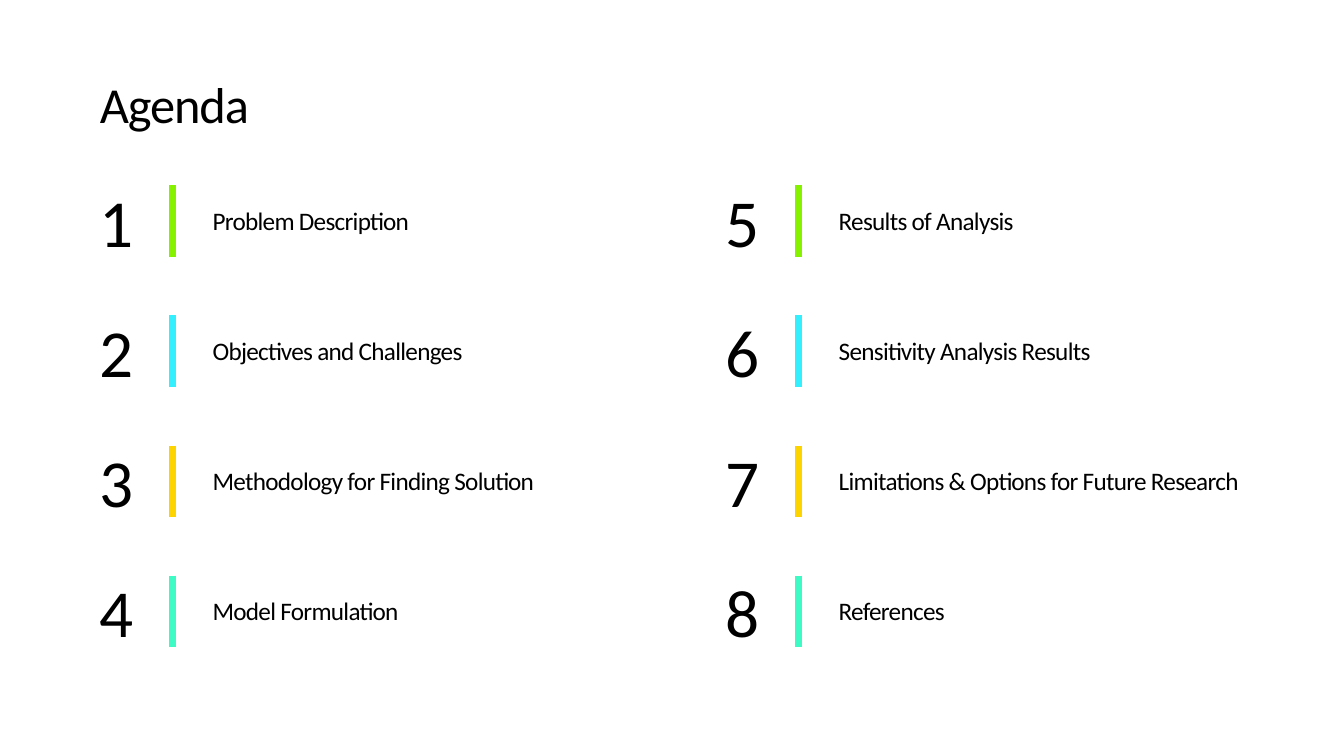
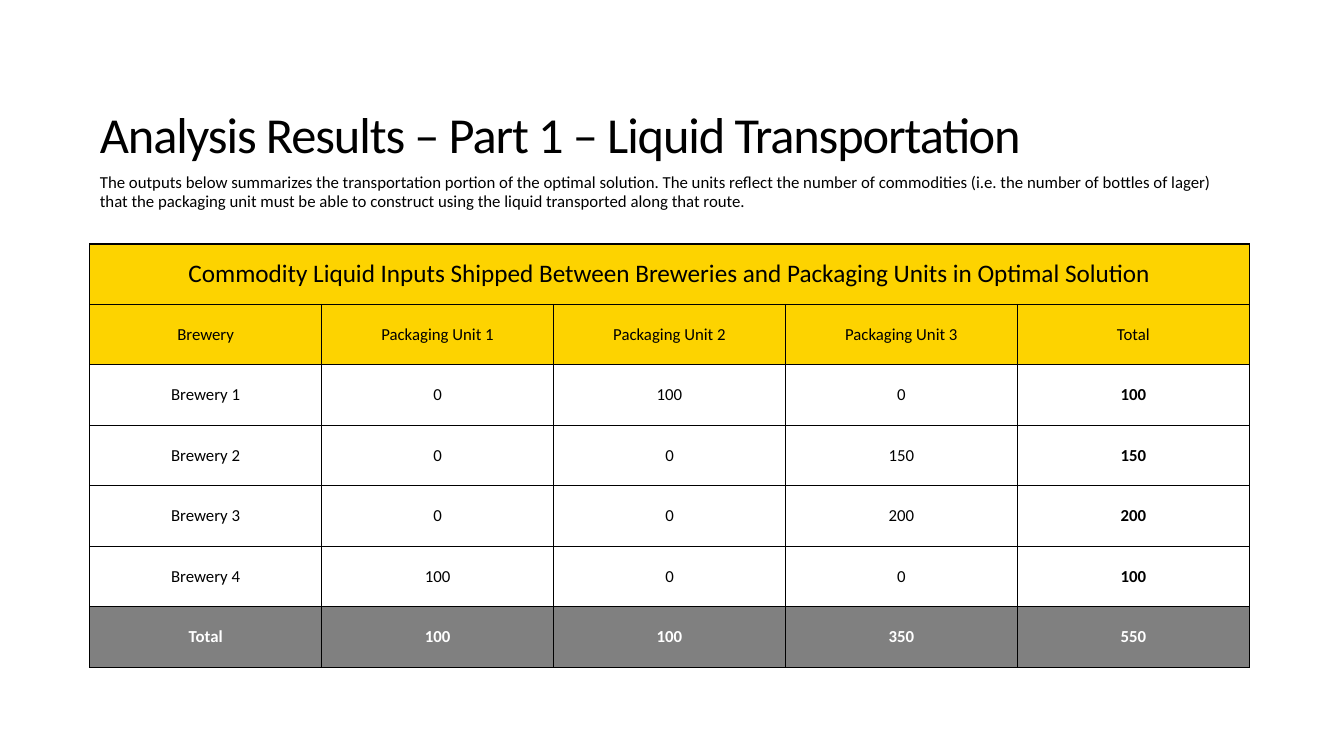
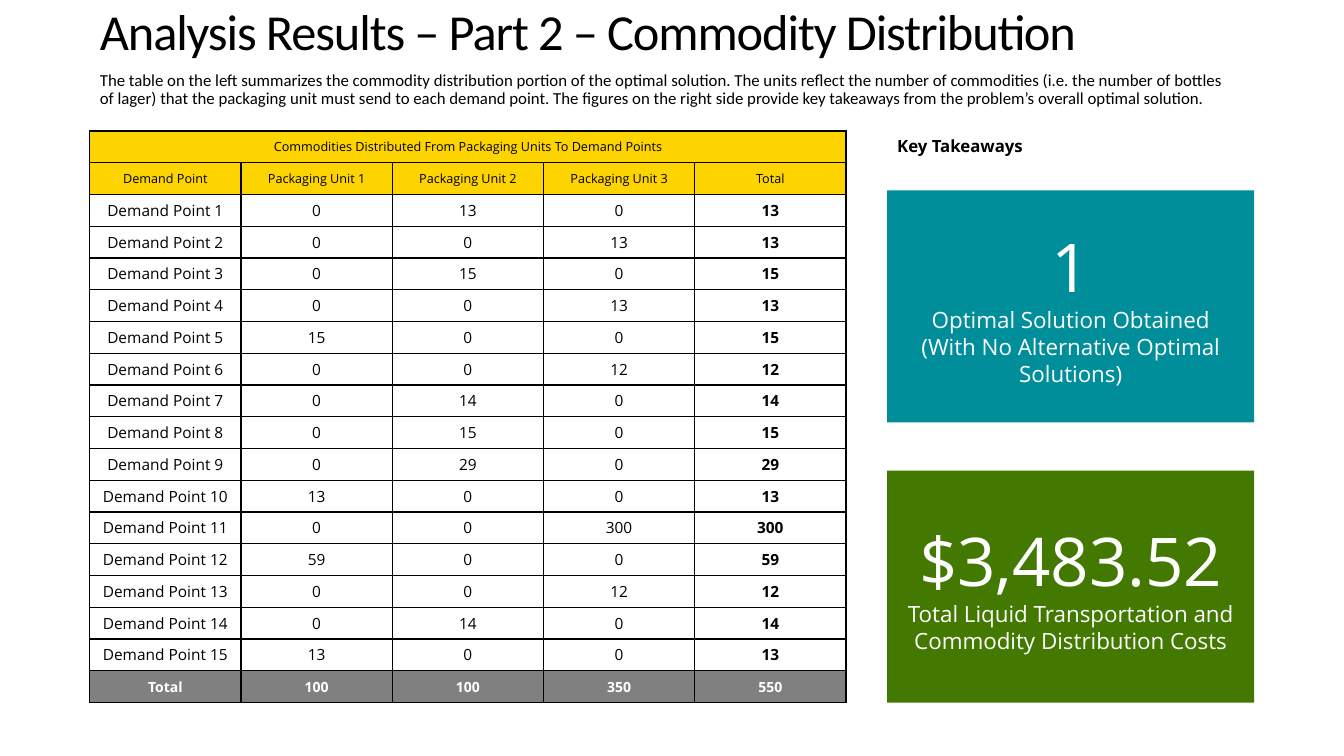
from dataclasses import dataclass

from lxml.etree import SubElement
from pptx import Presentation
from pptx.dml.color import RGBColor
from pptx.enum.shapes import MSO_CONNECTOR, MSO_SHAPE
from pptx.enum.text import MSO_ANCHOR, MSO_AUTO_SIZE, PP_ALIGN
from pptx.oxml.ns import qn
from pptx.util import Inches, Pt

AGENDA = [
    "Problem Description",
    "Objectives and Challenges",
    "Methodology for Finding Solution",
    "Model Formulation",
    "Results of Analysis",
    "Sensitivity Analysis Results",
    "Limitations & Options for Future Research",
    "References",
]
UNITS = ["Packaging Unit 1", "Packaging Unit 2", "Packaging Unit 3"]

LIQUID_TITLE = "Analysis Results – Part 1 – Liquid Transportation"
LIQUID_INTRO = (
    "The outputs below summarizes the transportation portion of the optimal solution. "
    "The units reflect the number of commodities (i.e. the number of bottles of lager) "
    "that the packaging unit must be able to construct using the liquid transported "
    "along that route."
)
LIQUID_CAPTION = (
    "Commodity Liquid Inputs Shipped Between Breweries and Packaging Units in Optimal Solution"
)
LIQUID_FLOWS = [(0, 100, 0), (0, 0, 150), (0, 0, 200), (100, 0, 0)]

DEMAND_TITLE = "Analysis Results – Part 2 – Commodity Distribution"
DEMAND_INTRO = (
    "The table on the left summarizes the commodity distribution portion of the optimal "
    "solution. The units reflect the number of commodities (i.e. the number of bottles of "
    "lager) that the packaging unit must send to each demand point. The figures on the "
    "right side provide key takeaways from the problem’s overall optimal solution."
)
DEMAND_CAPTION = "Commodities Distributed From Packaging Units To Demand Points"
DEMAND_FLOWS = [
    (0, 13, 0), (0, 0, 13), (0, 15, 0), (0, 0, 13), (15, 0, 0),
    (0, 0, 12), (0, 14, 0), (0, 15, 0), (0, 29, 0), (13, 0, 0),
    (0, 0, 300), (59, 0, 0), (0, 0, 12), (0, 14, 0), (13, 0, 0),
]
TAKEAWAYS = [
    ("008E9A", ["1", "Optimal Solution Obtained", "(With No Alternative Optimal Solutions)"]),
    ("437900", ["$3,483.52", "Total Liquid Transportation and Commodity Distribution Costs"]),
]


@dataclass(frozen=True)
class Theme:
    """Colours, fonts, type sizes and the frame the slides share."""
    text: str = "000000"
    inverse: str = "FFFFFF"
    header: str = "FDD300"
    total: str = "808080"
    accents: tuple = ("86F200", "34F0FF", "FDD300", "3EFAC5")
    main: str = "Calibri"
    alt: str = "Open Sans"
    title: int = 36
    figure: int = 48
    label: int = 18
    card: int = 16
    body: int = 12
    left: float = 0.89
    width: float = 11.5


@dataclass(frozen=True)
class TableSizes:
    """Type sizes of the parts of a table."""
    caption: int
    header: int
    body: int
    total: int


T = Theme()


def style(p, size, color=T.text, font=T.main, bold=False, spacing=None):
    """Format every run of a paragraph; spacing is in points."""
    for r in p.runs:
        r.font.size = Pt(size)
        r.font.name = font
        r.font.bold = bold
        r.font.color.rgb = RGBColor.from_string(color)
        if spacing is not None:
            r.font._element.set("spc", str(round(spacing * 100)))


def place(sp, left, top, width, height):
    """Set the position and size of a shape in inches."""
    sp.left, sp.top = Inches(left), Inches(top)
    sp.width, sp.height = Inches(width), Inches(height)


def fill_placeholder(sp, text, top, height):
    """Put left-aligned text at the top of a placeholder; return its paragraph."""
    place(sp, T.left, top, T.width, height)
    tf = sp.text_frame
    tf.text = text
    tf.word_wrap = True
    tf.auto_size = MSO_AUTO_SIZE.NONE
    tf.vertical_anchor = MSO_ANCHOR.TOP
    p = tf.paragraphs[0]
    p.alignment = PP_ALIGN.LEFT
    p.line_spacing = 0.9
    return p


def add_slide(prs, title, title_top, intro=None):
    """Add a slide with a title and, if given, an introduction below it."""
    s = prs.slides.add_slide(prs.slide_layouts[1 if intro else 5])
    style(fill_placeholder(s.shapes.title, title, title_top, 0.55), T.title, spacing=-0.8)
    if intro:
        p = fill_placeholder(s.placeholders[1], intro, title_top + 0.64, 0.45)
        p.space_before = Pt(10)
        pPr = p._p.get_or_add_pPr()
        pPr.set("marL", "0")
        pPr.set("indent", "0")
        SubElement(pPr, qn("a:buNone"))
        style(p, T.body)
    return s


def add_text(shapes, text, box, size, **fmt):
    """Add a one-paragraph text box that grows with its text."""
    sp = shapes.add_textbox(*map(Inches, box))
    tf = sp.text_frame
    tf.text = text
    tf.word_wrap = True
    tf.auto_size = MSO_AUTO_SIZE.SHAPE_TO_FIT_TEXT
    style(tf.paragraphs[0], size, **fmt)


def add_agenda_item(s, number, text, left, top, color):
    """Add a number, a coloured bar and a label as one group."""
    shapes = s.shapes.add_group_shape().shapes
    add_text(shapes, str(number), (left, top, 0.69, 0.91), T.figure, spacing=-0.5)
    add_text(shapes, text, (left + 1.12, top + 0.25, 4.22, 0.4), T.label, spacing=-0.5)
    x, y = left + 0.82, top + 0.1
    bar = shapes.add_connector(
        MSO_CONNECTOR.STRAIGHT, Inches(x), Inches(y), Inches(x), Inches(y + 0.71))
    bar.line.color.rgb = RGBColor.from_string(color)
    bar.line.width = Pt(5)
    SubElement(bar._element.spPr, qn("a:effectLst"))


def add_borders(cell):
    """Draw a thin line on all four sides of a cell."""
    tcPr = cell._tc.get_or_add_tcPr()
    for side in ("lnL", "lnR", "lnT", "lnB"):
        ln = SubElement(tcPr, qn(f"a:{side}"), w=str(Pt(1)))
        SubElement(SubElement(ln, qn("a:solidFill")), qn("a:srgbClr"), val=T.text)


def flow_rows(place_name, flows):
    """Return the header, one row per place, and the totals."""
    rows = [[place_name, *UNITS, "Total"]]
    rows += [[f"{place_name} {i}", *flow, sum(flow)] for i, flow in enumerate(flows, 1)]
    sums = [sum(column) for column in zip(*flows)]
    return rows + [["Total", *sums, sum(sums)]]


def add_flow_table(s, caption, rows, top, width, height, font, sizes):
    """Add a table with a merged caption, a header row and a total row."""
    rows = [[caption] + [""] * (len(rows[0]) - 1)] + rows
    n_rows, n_cols = len(rows), len(rows[0])
    table = s.shapes.add_table(
        n_rows, n_cols, Inches(T.left), Inches(top), Inches(width), Inches(height)).table
    table.first_row = table.horz_banding = False
    for i, row in enumerate(rows):
        is_total = i == n_rows - 1
        fill = T.header if i < 2 else T.total if is_total else None
        size = (sizes.caption if i == 0 else sizes.header if i == 1
                else sizes.total if is_total else sizes.body)
        for j, value in enumerate(row):
            cell = table.cell(i, j)
            cell.text = str(value)
            cell.vertical_anchor = MSO_ANCHOR.MIDDLE
            p = cell.text_frame.paragraphs[0]
            p.alignment = PP_ALIGN.CENTER
            style(p, size, T.inverse if is_total else T.text, font,
                  bold=is_total or (i > 1 and j == n_cols - 1))
            add_borders(cell)
            if fill:
                cell.fill.solid()
                cell.fill.fore_color.rgb = RGBColor.from_string(fill)
            else:
                cell.fill.background()
    table.cell(0, 0).merge(table.cell(0, n_cols - 1))


def add_card(s, lines, top, color):
    """Add a coloured card with a big figure above its explanation."""
    sp = s.shapes.add_shape(
        MSO_SHAPE.RECTANGLE, Inches(8.8), Inches(top), Inches(3.64), Inches(2.3))
    sp.shadow.inherit = False
    sp.fill.solid()
    sp.fill.fore_color.rgb = RGBColor.from_string(color)
    sp.line.fill.background()
    tf = sp.text_frame
    tf.word_wrap = True
    tf.vertical_anchor = MSO_ANCHOR.MIDDLE
    tf.text = "\n".join(lines)
    for i, p in enumerate(tf.paragraphs):
        p.alignment = PP_ALIGN.CENTER
        style(p, T.card if i else T.figure, T.inverse, T.alt)


def build_agenda(prs):
    """Build the agenda in two columns."""
    s = add_slide(prs, "Agenda", 0.74)
    per_column = len(T.accents)
    for i, text in enumerate(AGENDA):
        column, row = divmod(i, per_column)
        add_agenda_item(s, i + 1, text, T.left + 6.21 * column, 1.74 + 1.29 * row,
                        T.accents[row])


def build_liquid(prs):
    """Build the liquid transportation results."""
    s = add_slide(prs, LIQUID_TITLE, 1.04, LIQUID_INTRO)
    add_flow_table(s, LIQUID_CAPTION, flow_rows("Brewery", LIQUID_FLOWS),
                   2.42, T.width, 4.2, T.main, TableSizes(18, 12, 12, 12))


def build_demand(prs):
    """Build the commodity distribution results and the takeaways."""
    s = add_slide(prs, DEMAND_TITLE, 0.02, DEMAND_INTRO)
    add_flow_table(s, DEMAND_CAPTION, flow_rows("Demand Point", DEMAND_FLOWS),
                   1.3, 7.5, 5.67, T.alt, TableSizes(9, 9, 11, 10))
    add_text(s.shapes, "Key Takeaways", (8.8, 1.3, 3.59, 0.3), T.body, font=T.alt, bold=True)
    for i, (color, lines) in enumerate(TAKEAWAYS):
        add_card(s, lines, 1.89 + 2.78 * i, color)


def main():
    """Build and save the presentation."""
    prs = Presentation()
    prs.slide_width, prs.slide_height = Inches(13.33), Inches(7.5)
    build_agenda(prs)
    build_liquid(prs)
    build_demand(prs)
    prs.save("out.pptx")


main()
